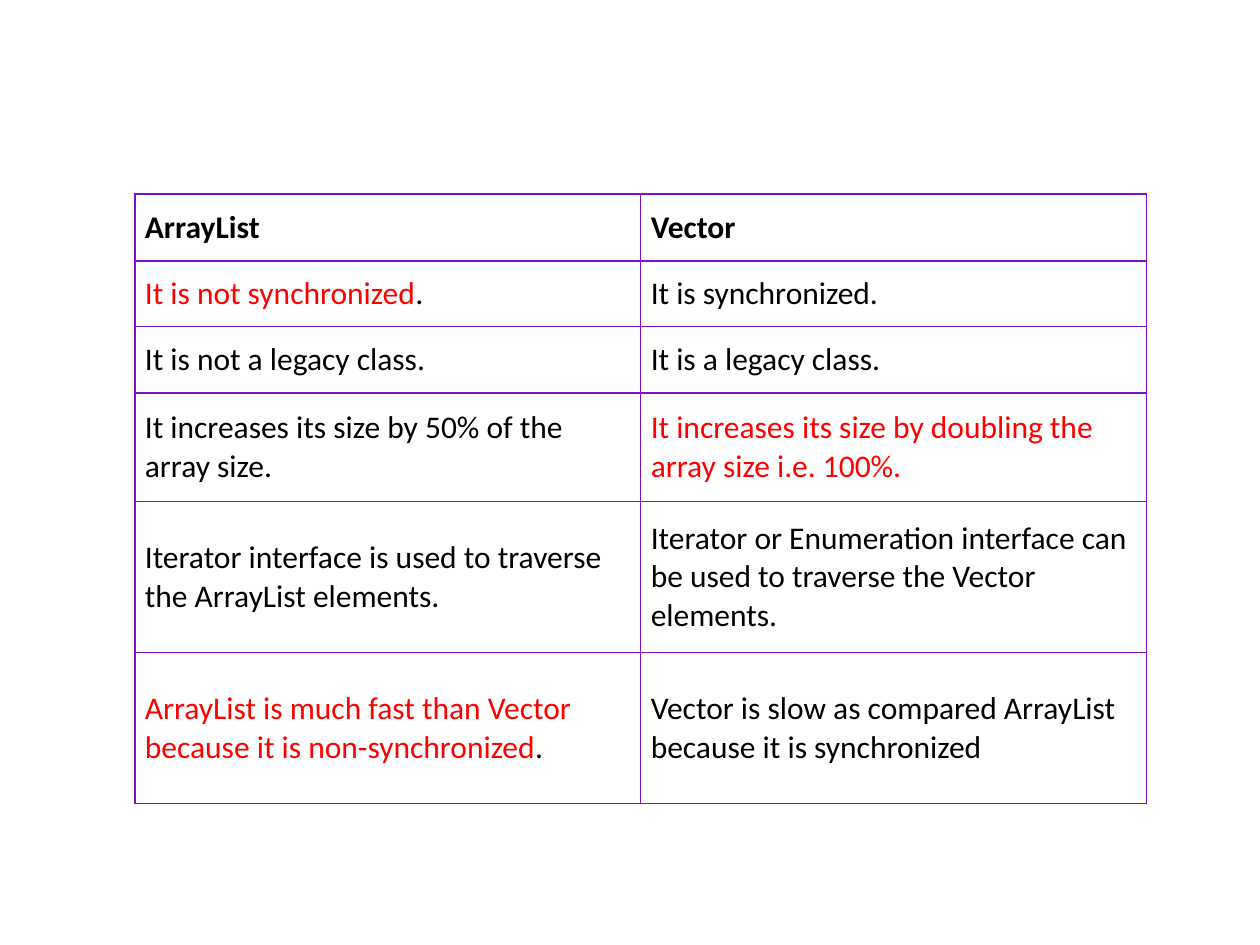
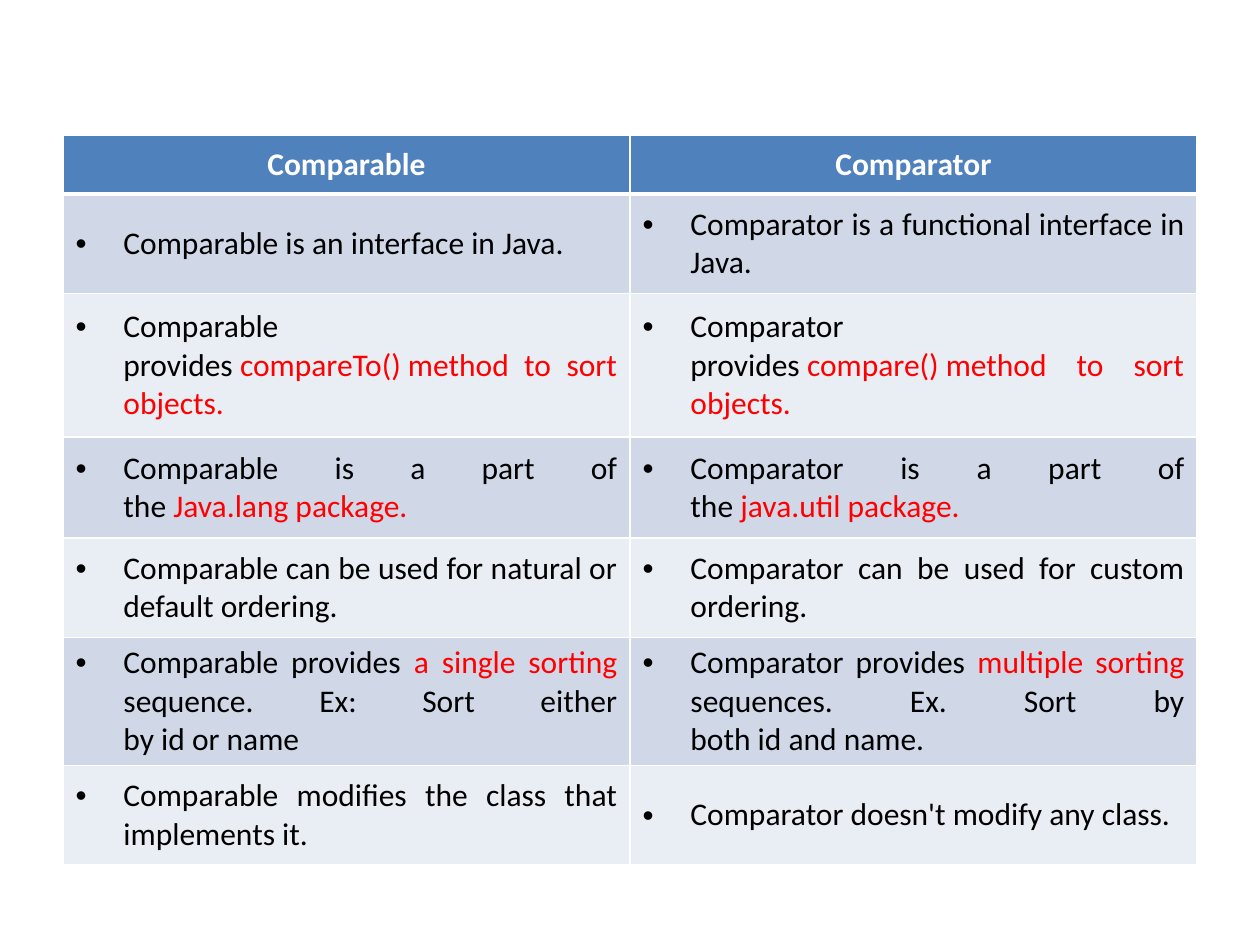
from lxml import etree
from pptx import Presentation
from pptx import util as u
from pptx.dml.color import RGBColor
from pptx.enum import text
from pptx.oxml import ns

FONT, SIZE = "Calibri", 18
BLACK, WHITE, RED, PURPLE = "000000", "FFFFFF", "FF0000", "800FCD"
HEADER, BANDS = "4F81BD", ("E9EDF4", "D0D8E8")
INDENT = 0.38
NO_BREAK_SPACE = chr(160)

# Text between asterisks is highlighted in red; a tilde is a no-break space
LIST_ROWS = [
    ("ArrayList", "Vector"),
    ("*It is not synchronized*.", "It is synchronized."),
    ("It is not a legacy class.", "It is a legacy class."),
    ("It increases its size by 50% of the array size.",
     "*It increases its size by doubling the array size i.e. 100%.*"),
    ("Iterator interface is used to traverse the ArrayList elements.",
     "Iterator or Enumeration interface can be used to traverse the Vector elements."),
    ("*ArrayList is much fast than Vector because it is non-synchronized*.",
     "Vector is slow as compared ArrayList because it is synchronized"),
]
SORT_ROWS = [
    ("Comparable", "Comparator"),
    ("Comparable is an interface in Java.",
     "Comparator is a functional interface in Java."),
    ("Comparable provides~*compareTo()~method to sort objects.*",
     "Comparator provides~*compare()~method to sort objects.*"),
    ("Comparable is a part of the~*Java.lang~package.*",
     "Comparator is a part of the~*java.util~package.*"),
    ("Comparable can be used for natural or default ordering.",
     "Comparator can be used for custom ordering."),
    ("Comparable provides *a single sorting *sequence. Ex: Sort either by~id~or~name",
     "Comparator provides *multiple sorting *sequences. Ex. Sort by both~id~and~name."),
    ("Comparable modifies the class that implements it.",
     "Comparator doesn't modify any class."),
]


def rgb(value):
    return RGBColor.from_string(value)


def add_bullet(p):
    pPr = p._p.get_or_add_pPr()
    pPr.set("marL", str(u.Inches(INDENT)))
    pPr.set("indent", str(-u.Inches(INDENT)))
    etree.SubElement(pPr, ns.qn("a:buFont")).set("typeface", "Arial")
    etree.SubElement(pPr, ns.qn("a:buChar")).set("char", "•")


def write(tf, content, color=BLACK, bold=False, align="LEFT", bullet=False):
    p = tf.paragraphs[0]
    p.alignment = getattr(text.PP_ALIGN, align)
    if bullet:
        add_bullet(p)
    for i, part in enumerate(content.replace("~", NO_BREAK_SPACE).split("*")):
        if part:
            r = p.add_run()
            r.text = part
            r.font.name, r.font.size, r.font.bold = FONT, u.Pt(SIZE), bold
            r.font.color.rgb = rgb(RED if i % 2 else color)


def set_borders(cell, color, **widths):
    tcPr = cell._tc.get_or_add_tcPr()
    for side in "LRTB":
        ln = etree.SubElement(tcPr, ns.qn(f"a:ln{side}"), w=str(u.Pt(widths.get(side, 1))))
        fill = etree.SubElement(ln, ns.qn("a:solidFill"))
        etree.SubElement(fill, ns.qn("a:srgbClr")).set("val", color)


def add_table(prs, rows, box, heights, style_cell):
    """Add a slide with a two-column table; style_cell formats each cell."""
    s = prs.slides.add_slide(prs.slide_layouts[6])
    frame = s.shapes.add_table(len(rows), 2, *map(u.Inches, box))
    table = frame.table
    table.first_row = table.horz_banding = False
    for i, (row, height) in enumerate(zip(rows, heights)):
        table.rows[i].height = u.Inches(height)
        for j, content in enumerate(row):
            cell = table.cell(i, j)
            cell.vertical_anchor = text.MSO_ANCHOR.MIDDLE
            style_cell(cell, content, i, j)
    frame.height = u.Inches(box[3])


def list_cell(cell, content, i, j):
    """Outlined cell without fill; the outer right and bottom edges are thinner."""
    cell.margin_left = cell.margin_right = u.Inches(0.08)
    cell.margin_top = cell.margin_bottom = u.Inches(0.08)
    set_borders(cell, PURPLE, R=0.75 if j == 1 else 1,
                B=0.75 if i == len(LIST_ROWS) - 1 else 1)
    cell.fill.background()
    write(cell.text_frame, content, bold=i == 0)


def sort_cell(cell, content, i, j):
    """Blue header cell, or a banded body cell with a bullet."""
    header = i == 0
    set_borders(cell, WHITE, B=3 if header else 1, T=3 if i == 1 else 1)
    cell.fill.solid()
    cell.fill.fore_color.rgb = rgb(HEADER if header else BANDS[i % 2])
    if header:
        write(cell.text_frame, content, color=WHITE, bold=True, align="CENTER")
    else:
        write(cell.text_frame, content, align="JUSTIFY", bullet=True)


def main():
    prs = Presentation()
    prs.slide_width, prs.slide_height = u.Inches(10), u.Inches(7.5)
    # ArrayList against Vector
    add_table(prs, LIST_ROWS, (1.07, 1.54, 8.03, 4.84),
              [0.53, 0.52, 0.53, 0.86, 1.2, 1.2], list_cell)
    # Comparable against Comparator
    add_table(prs, SORT_ROWS, (0.5, 1.07, 9, 5.79),
              [0.47, 0.79, 1.14, 0.8, 0.79, 0.8, 0.79], sort_cell)
    prs.save("out.pptx")


if __name__ == "__main__":
    main()
